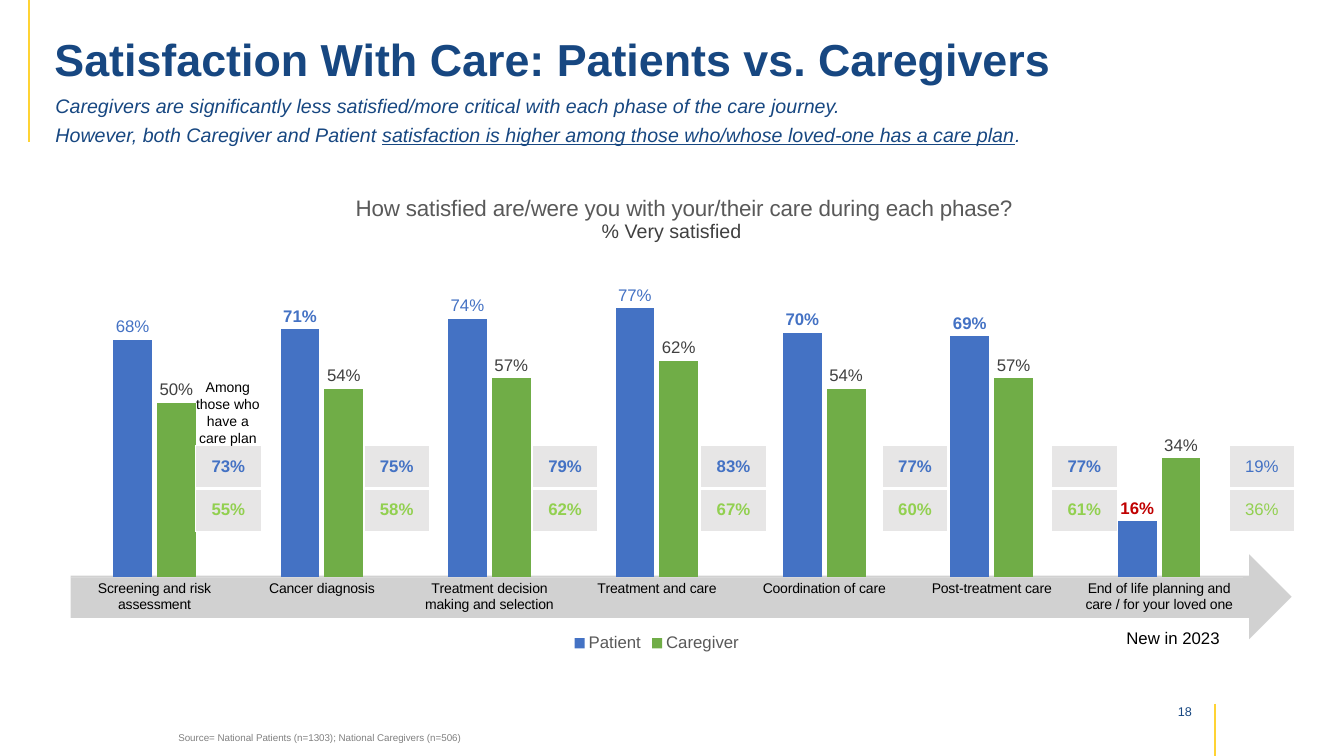
from lxml import etree
from pptx import Presentation
from pptx.chart.data import CategoryChartData
from pptx.dml.color import RGBColor
from pptx.enum.chart import XL_CHART_TYPE, XL_LABEL_POSITION, XL_LEGEND_POSITION, XL_TICK_MARK
from pptx.enum.shapes import MSO_CONNECTOR, MSO_SHAPE
from pptx.enum.text import MSO_ANCHOR, PP_ALIGN
from pptx.oxml.ns import qn
from pptx.util import Inches, Pt

LEFT, CENTER, RIGHT = PP_ALIGN.LEFT, PP_ALIGN.CENTER, PP_ALIGN.RIGHT
MIDDLE, TOP = MSO_ANCHOR.MIDDLE, MSO_ANCHOR.TOP
COLUMNS = XL_CHART_TYPE.COLUMN_CLUSTERED
OUTSIDE = XL_LABEL_POSITION.OUTSIDE_END
LEGEND_BOTTOM = XL_LEGEND_POSITION.BOTTOM
NO_TICK = XL_TICK_MARK.NONE

FONT = "Arial"
COLORS = {
    "navy": "174781", "yellow": "FFD334", "patient": "4472C4", "caregiver": "70AD47",
    "plan_caregiver": "92D050", "cell": "E7E6E6", "white": "FFFFFF", "arrow": "A5A5A5",
    "black": "000000", "dark": "404040", "gray": "595959", "source": "808080",
    "axis": "D9D9D9", "alert": "C00000",
}
PHASES = ["Screening and risk assessment", "Cancer diagnosis",
          "Treatment decision making and selection", "Treatment and care",
          "Coordination of care", "Post-treatment care",
          "End of life planning and care / for your loved one"]
PATIENT = [0.68, 0.71, 0.74, 0.77, 0.70, 0.69, 0.16]
CAREGIVER = [0.50, 0.54, 0.57, 0.62, 0.54, 0.57, 0.34]
REGULAR_PATIENT_LABELS = [0, 2, 3]
# Left edge, patient and caregiver shares, bold
CARE_PLAN = [(1.94, "73%", "55%", True), (3.61, "75%", "58%", True),
             (5.28, "79%", "62%", True), (6.95, "83%", "67%", True),
             (8.75, "77%", "60%", True), (10.43, "77%", "61%", True),
             (12.19, "19%", "36%", False)]


def rgb(name):
    return RGBColor.from_string(COLORS[name])


def set_font(font, size, color, bold=False, italic=False):
    font.name, font.size = FONT, Pt(size)
    font.bold, font.italic = bold, italic
    font.color.rgb = rgb(color)


def inches(box):
    return [Inches(length) for length in box]


def place(shape, box):
    shape.left, shape.top, shape.width, shape.height = inches(box)


def add_text(slide, box, lines, size, color, align=LEFT, wrap=True):
    frame = slide.shapes.add_textbox(*inches(box)).text_frame
    frame.word_wrap = wrap
    frame.text = "\n".join(lines)
    for paragraph in frame.paragraphs:
        paragraph.alignment = align
        set_font(paragraph.font, size, color)


def add_rule(slide, x, top, bottom):
    rule = slide.shapes.add_connector(MSO_CONNECTOR.STRAIGHT, *inches((x, top, x, bottom)))
    rule.line.color.rgb = rgb("yellow")
    rule.line.width = Pt(1.5)
    etree.SubElement(rule._element.spPr, qn("a:effectLst"))


def add_heading(slide, box):
    left, top, width, height = box
    # Title
    title = slide.shapes.title
    place(title, (left, top, width, height * 0.54))
    title.text_frame.text = "Satisfaction With Care: Patients vs. Caregivers"
    title.text_frame.vertical_anchor = MIDDLE
    paragraph = title.text_frame.paragraphs[0]
    paragraph.alignment, paragraph.line_spacing = LEFT, 0.9
    set_font(paragraph.font, 32, "navy", bold=True)
    # Subtitle lines
    body = slide.placeholders[1]
    place(body, (left + 0.01, top + height * 0.46, width - 0.04, height * 0.54))
    frame = body.text_frame
    frame.vertical_anchor = TOP
    lines = [
        ["Caregivers are significantly less satisfied/more critical with each phase of the care journey."],
        ["However, both Caregiver and Patient ",
         "satisfaction is higher among those who/whose loved-one has a care plan", "."],
    ]
    for index, parts in enumerate(lines):
        paragraph = frame.add_paragraph() if index else frame.paragraphs[0]
        properties = paragraph._p.get_or_add_pPr()
        properties.set("marL", "0")
        properties.set("indent", "0")
        etree.SubElement(properties, qn("a:buNone"))
        paragraph.space_before = Pt(4 * index)
        set_font(paragraph.font, 14, "navy", italic=True)
        for part_index, part in enumerate(parts):
            run = paragraph.add_run()
            run.text = part
            if part_index == 1:
                run.font.underline = True


def add_arrow(slide, box):
    arrow = slide.shapes.add_shape(MSO_SHAPE.RIGHT_ARROW, *inches(box))
    arrow.shadow.inherit = False
    arrow.fill.solid()
    arrow.fill.fore_color.rgb = rgb("arrow")
    arrow.line.fill.background()
    color = arrow._element.spPr.find(".//" + qn("a:srgbClr"))
    etree.SubElement(color, qn("a:alpha"), val="50000")


def set_layout(parent, **settings):
    layout = parent.find(qn("c:layout"))
    if layout is None:
        layout = etree.Element(qn("c:layout"))
        parent.insert(0, layout)
    manual = etree.SubElement(layout, qn("c:manualLayout"))
    for name, value in settings.items():
        etree.SubElement(manual, qn("c:" + name), val=str(value))


def add_satisfaction_chart(slide, box):
    data = CategoryChartData(number_format="0%")
    data.categories = PHASES
    data.add_series("Patient", PATIENT)
    data.add_series("Caregiver", CAREGIVER)
    chart = slide.shapes.add_chart(COLUMNS, *inches(box), data).chart
    set_font(chart.font, 10, "black")
    # Title and plot area
    chart.has_title = True
    chart.chart_title.text_frame.text = "How satisfied are/were you with your/their care during each phase?"
    set_font(chart.chart_title.text_frame.paragraphs[0].font, 16, "gray")
    set_layout(chart.chart_title._element, xMode="edge", yMode="edge", x=0.25, y=0.05)
    set_layout(chart._chartSpace.find(".//" + qn("c:plotArea")), layoutTarget="inner",
               xMode="edge", yMode="edge", x=0.02, y=0.128, w=0.96, h=0.711)
    # Legend and axes
    chart.has_legend = True
    chart.legend.position = LEGEND_BOTTOM
    chart.legend.include_in_layout = False
    set_font(chart.legend.font, 12, "gray")
    chart.value_axis.visible = False
    chart.value_axis.has_major_gridlines = False
    chart.value_axis.minimum_scale, chart.value_axis.maximum_scale = 0, 1
    axis = chart.category_axis
    axis.major_tick_mark = axis.minor_tick_mark = NO_TICK
    axis.format.line.color.rgb = rgb("axis")
    axis.format.line.width = Pt(0.75)
    set_font(axis.tick_labels.font, 10, "black")
    # Columns and labels
    plot = chart.plots[0]
    plot.gap_width, plot.overlap, plot.vary_by_categories = 219, -13, False
    for series, color, label_color in zip(plot.series, ("patient", "caregiver"), ("patient", "dark")):
        series.format.fill.solid()
        series.format.fill.fore_color.rgb = rgb(color)
        labels = series.data_labels
        labels.show_value = True
        labels.number_format, labels.number_format_is_linked = "0%", False
        labels.position = OUTSIDE
        set_font(labels.font, 12, label_color, bold=color == "patient")
    points = plot.series[0].points
    for index in REGULAR_PATIENT_LABELS:
        set_font(points[index].data_label.font, 12, "patient")
        points[index].data_label.position = OUTSIDE
    set_font(points[6].data_label.font, 12, "alert", bold=True)
    points[6].data_label.position = OUTSIDE


def add_border(cell, side, width):
    line = etree.SubElement(cell._tc.get_or_add_tcPr(), qn("a:ln" + side), w=str(Pt(width)))
    fill = etree.SubElement(line, qn("a:solidFill"))
    etree.SubElement(fill, qn("a:srgbClr"), val=COLORS["white"])


def add_care_plan_table(slide, box, shares, bold):
    table = slide.shapes.add_table(2, 1, *inches(box)).table
    table.first_row = table.horz_banding = False
    for row, (share, color) in enumerate(zip(shares, ("patient", "plan_caregiver"))):
        cell = table.cell(row, 0)
        for side, width in (("L", 1), ("R", 1), ("T", 3 if row else 1), ("B", 1 if row else 3)):
            add_border(cell, side, width)
        cell.fill.solid()
        cell.fill.fore_color.rgb = rgb("cell")
        cell.vertical_anchor = MIDDLE
        cell.text = share
        paragraph = cell.text_frame.paragraphs[0]
        paragraph.alignment = CENTER
        set_font(paragraph.font, 12, color, bold=bold)


def main():
    presentation = Presentation()
    presentation.slide_width, presentation.slide_height = Inches(13.33), Inches(7.5)
    slide = presentation.slides.add_slide(presentation.slide_layouts[1])
    # Page frame
    add_rule(slide, 0.29, 0, 1.41)
    add_text(slide, (11.33, 6.93, 0.59, 0.25), ["18"], 9, "navy", RIGHT)
    add_rule(slide, 12.05, 6.98, 7.5)
    add_heading(slide, (0.44, 0.23, 12.39, 1.41))
    # Care journey
    add_arrow(slide, (0.7, 5.5, 12.11, 0.84))
    add_satisfaction_chart(slide, (0.46, 1.64, 12.11, 4.87))
    # Notes around the chart
    add_text(slide, (1.67, 7.21, 6.25, 0.22),
             ["Source= National Patients (n=1303); National Caregivers (n=506)"], 7, "source")
    add_text(slide, (5.87, 2.12, 1.6, 0.34), ["% Very satisfied"], 14, "dark", wrap=False)
    add_text(slide, (11.07, 6.18, 1.13, 0.3), ["New in 2023"], 12, "black", CENTER, wrap=False)
    # Shares among those with a care plan
    for left, patient, caregiver, bold in CARE_PLAN:
        add_care_plan_table(slide, (left, 4.42, 0.65, 0.85), (patient, caregiver), bold)
    add_text(slide, (1.83, 3.71, 0.86, 0.77), ["Among those who", "have a care plan"],
             10, "black", CENTER)
    presentation.save("out.pptx")


if __name__ == "__main__":
    main()
